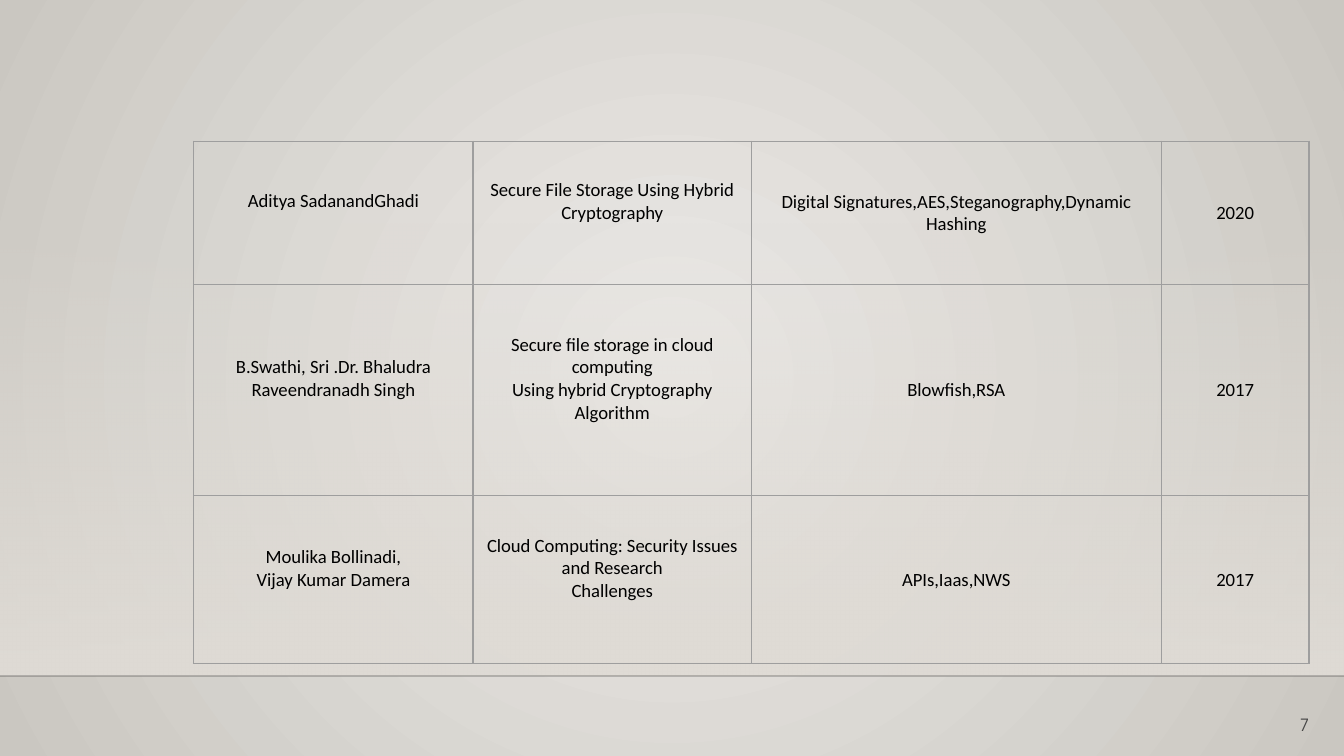
import pptx
import pptx.util
import pptx.dml.color
import pptx.enum.shapes
import pptx.enum.text
import pptx.oxml
import pptx.oxml.ns
import lxml.etree

Inches = pptx.util.Inches
Pt = pptx.util.Pt
RGBColor = pptx.dml.color.RGBColor
qn = pptx.oxml.ns.qn
PP_ALIGN = pptx.enum.text.PP_ALIGN
MIDDLE = pptx.enum.text.MSO_ANCHOR.MIDDLE

CENTER_LIGHT = RGBColor(0xEC, 0xEA, 0xE7)
EDGE_GRAY = RGBColor(0xCA, 0xC7, 0xC1)
WALL = RGBColor(0xDF, 0xDB, 0xD5)
FLOOR_LINE = RGBColor(0x00, 0x00, 0x01)
BORDER = RGBColor(0x9E, 0x9E, 0x9E)
BLACK = RGBColor(0x00, 0x00, 0x00)
NUMBER_GRAY = RGBColor(0x45, 0x45, 0x45)

COLUMN_WIDTHS = [2.08, 2.07, 3.05, 1.1]
ROW_HEIGHTS = [1.07, 1.57, 1.25]
BOTTOM_MARGINS = [0.27, 0.27, 0.1, 0.1]
PAPERS = [
    [["Aditya SadanandGhadi"],
     ["Secure File Storage Using Hybrid Cryptography"],
     ["Digital Signatures,AES,Steganography,Dynamic Hashing"],
     ["2020"]],
    [["B.Swathi, Sri .Dr. Bhaludra Raveendranadh Singh"],
     ["Secure file storage in cloud computing", "Using hybrid Cryptography Algorithm"],
     ["Blowfish,RSA"],
     ["2017"]],
    [["Moulika Bollinadi,", "Vijay Kumar Damera"],
     ["Cloud Computing: Security Issues and Research", "Challenges"],
     ["APIs,Iaas,NWS"],
     ["2017"]],
]


def write_lines(frame, lines, alignment, font_name, size, color):
    for index, line in enumerate(lines):
        paragraph = frame.paragraphs[0] if index == 0 else frame.add_paragraph()
        paragraph.alignment = alignment
        run = paragraph.add_run()
        run.text = line
        run.font.name = font_name
        run.font.size = Pt(size)
        run.font.color.rgb = color


def set_opacity(color_element, percent):
    lxml.etree.SubElement(color_element, qn("a:alpha"), val=str(percent * 1000))


presentation = pptx.Presentation()
presentation.slide_width = Inches(10)
presentation.slide_height = Inches(10 * 9 / 16)
slide = presentation.slides.add_slide(presentation.slide_layouts[6])

background_fill = slide.background.fill
background_fill.gradient()
for stop, color in zip(background_fill.gradient_stops, [CENTER_LIGHT, EDGE_GRAY]):
    stop.color.rgb = color
gradient = next(slide.background._cSld.iter(qn("a:gradFill")))
gradient.remove(gradient.find(qn("a:lin")))
radial = lxml.etree.SubElement(gradient, qn("a:path"), path="circle")
lxml.etree.SubElement(radial, qn("a:fillToRect"), l="50000", t="50000", r="50000", b="50000")

wall = slide.shapes.add_shape(
    pptx.enum.shapes.MSO_SHAPE.RECTANGLE, Inches(0), Inches(1.66), Inches(10), Inches(3.37))
wall.shadow.inherit = False
wall.line.fill.background()
wall.fill.gradient()
wall.fill.gradient_angle = 270
for stop in wall.fill.gradient_stops:
    stop.color.rgb = WALL
set_opacity(next(wall._element.spPr.iter(qn("a:srgbClr"))), 0)

floor_line = slide.shapes.add_connector(
    pptx.enum.shapes.MSO_CONNECTOR.STRAIGHT, Inches(0), Inches(5.03), Inches(10), Inches(5.03))
floor_line.line.color.rgb = FLOOR_LINE
floor_line.line.width = Pt(1)
set_opacity(next(floor_line._element.spPr.iter(qn("a:srgbClr"))), 20)
lxml.etree.SubElement(floor_line._element.spPr, qn("a:effectLst"))

table = slide.shapes.add_table(
    len(ROW_HEIGHTS), len(COLUMN_WIDTHS),
    Inches(1.44), Inches(1.05), Inches(8.3), Inches(3.89)).table
table.first_row = False
table.horz_banding = False
for column, width in zip(table.columns, COLUMN_WIDTHS):
    column.width = Inches(width)
for row, height in zip(table.rows, ROW_HEIGHTS):
    row.height = Inches(height)

for row, paper in zip(table.rows, PAPERS):
    for cell, lines, bottom_margin in zip(row.cells, paper, BOTTOM_MARGINS):
        cell.vertical_anchor = MIDDLE
        cell.margin_left = cell.margin_right = cell.margin_top = Inches(0.1)
        cell.margin_bottom = Inches(bottom_margin)
        cell.fill.background()
        write_lines(cell.text_frame, lines, PP_ALIGN.CENTER, "Calibri", 10, BLACK)
        properties = cell._tc.get_or_add_tcPr()
        for index, side in enumerate(["a:lnL", "a:lnR", "a:lnT", "a:lnB"]):
            border = lxml.etree.Element(qn(side), w=str(Pt(0.75)))
            solid = lxml.etree.SubElement(border, qn("a:solidFill"))
            lxml.etree.SubElement(solid, qn("a:srgbClr"), val=str(BORDER))
            properties.insert(index, border)

number_box = slide.shapes.add_textbox(Inches(9.24), Inches(5.18), Inches(0.6), Inches(0.43))
number_frame = number_box.text_frame
number_frame.word_wrap = True
number_frame.vertical_anchor = MIDDLE
number_frame.margin_left = number_frame.margin_right = Inches(0.1)
number_frame.margin_top = number_frame.margin_bottom = Inches(0.1)
write_lines(number_frame, ["7"], PP_ALIGN.RIGHT, "TeX Gyre Adventor", 9, NUMBER_GRAY)

presentation.save("out.pptx")
